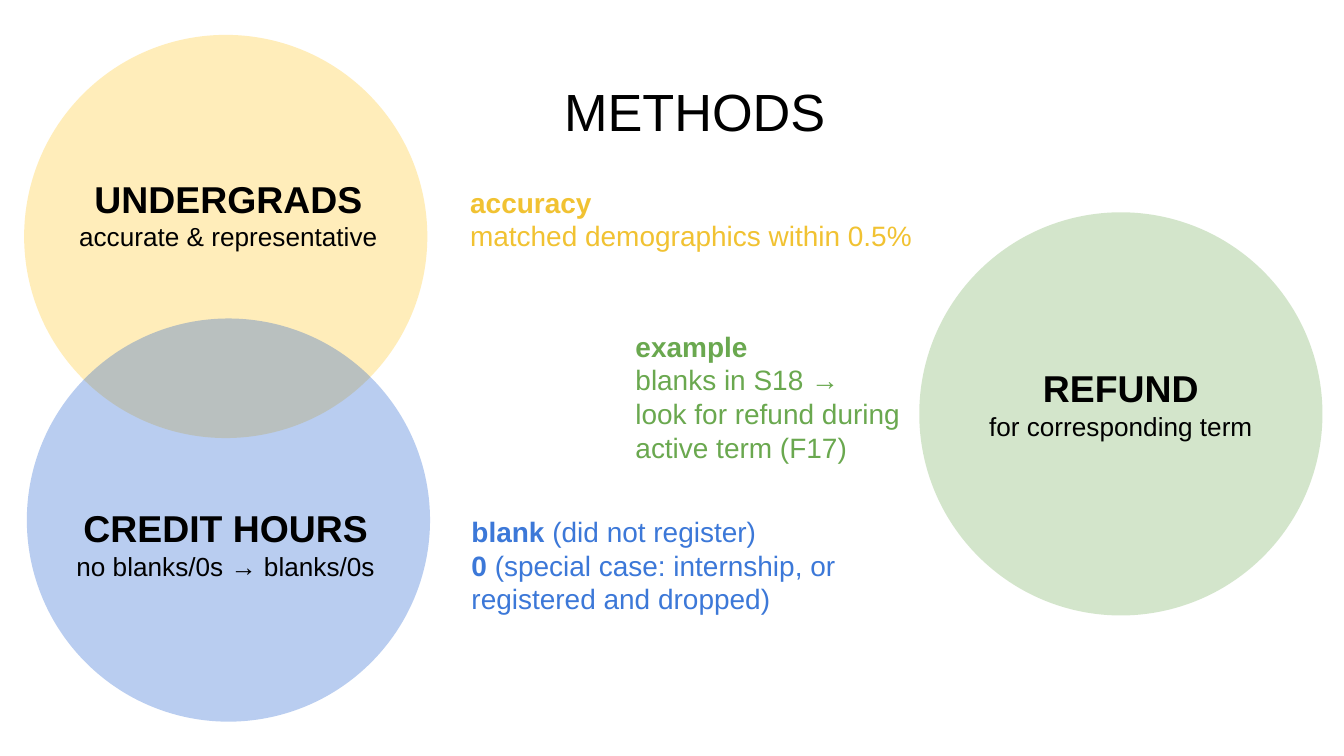
from lxml.etree import SubElement
from pptx import Presentation
from pptx.dml.color import RGBColor
from pptx.enum.shapes import MSO_SHAPE
from pptx.enum.text import MSO_ANCHOR, PP_ALIGN
from pptx.oxml.ns import qn
from pptx.util import Inches, Pt

BLACK = RGBColor(0x00, 0x00, 0x00)
YELLOW = RGBColor(0xFF, 0xD9, 0x66)
GREEN = RGBColor(0x6A, 0xA8, 0x4F)
BLUE = RGBColor(0x11, 0x55, 0xCC)
GOLD_TEXT = RGBColor(0xF1, 0xC2, 0x32)
BLUE_TEXT = RGBColor(0x3C, 0x78, 0xD8)

FONT = "Arial"
SLIDE_WIDTH = 10
SLIDE_HEIGHT = SLIDE_WIDTH * 9 / 16
DIAMETER = 3
LABEL_HEIGHT = 0.93

# left, top, colour, opacity in percent
CIRCLES = [
    (0.18, 0.26, YELLOW, 45),
    (6.84, 1.58, GREEN, 29),
    (0.2, 2.37, BLUE, 29),
]

# left, top, heading, detail
LABELS = [
    (0.2, 1.21, "UNDERGRADS", "accurate & representative"),
    (0.18, 3.66, "CREDIT HOURS", "no blanks/0s → blanks/0s"),
    (6.84, 2.62, "REFUND", "for corresponding term"),
]

# left, top, width, colour, lines of (bold part, regular part)
NOTES = [
    (3.41, 3.73, 3.43, BLUE_TEXT, [
        ("blank", " (did not register)"),
        ("0", " (special case: internship, or registered and dropped)"),
    ]),
    (3.4, 1.28, 3.63, GOLD_TEXT, [
        ("accuracy", ""),
        ("", "matched demographics within 0.5%"),
    ]),
    (4.63, 2.35, 3.63, GREEN, [
        ("example", ""),
        ("", "blanks in S18 → "),
        ("", "look for refund during "),
        ("", "active term (F17)"),
    ]),
]


def add_circle(slide, left, top, color, opacity):
    """Draw a translucent circle without an outline."""
    circle = slide.shapes.add_shape(
        MSO_SHAPE.OVAL, Inches(left), Inches(top), Inches(DIAMETER), Inches(DIAMETER))
    circle.shadow.inherit = False
    circle.line.fill.background()
    circle.fill.solid()
    circle.fill.fore_color.rgb = color
    srgb = circle.fill._xPr.find(".//" + qn("a:srgbClr"))
    SubElement(srgb, qn("a:alpha")).set("val", str(opacity * 1000))


def add_text(slide, left, top, width, height, lines, sizes, color, align=PP_ALIGN.LEFT):
    """Write one paragraph per line, each a (bold part, regular part) pair."""
    box = slide.shapes.add_textbox(Inches(left), Inches(top), Inches(width), Inches(height))
    frame = box.text_frame
    frame.word_wrap = True
    frame.vertical_anchor = MSO_ANCHOR.TOP
    frame.margin_left = frame.margin_right = Inches(0.1)
    frame.margin_top = frame.margin_bottom = Inches(0.1)
    for i, (parts, size) in enumerate(zip(lines, sizes)):
        paragraph = frame.add_paragraph() if i else frame.paragraphs[0]
        paragraph.alignment = align
        paragraph.font.name = FONT
        paragraph.font.size = Pt(size)
        paragraph.font.color.rgb = color
        for part, bold in zip(parts, (True, False)):
            if part:
                run = paragraph.add_run()
                run.text = part
                run.font.bold = bold


prs = Presentation()
prs.slide_width, prs.slide_height = Inches(SLIDE_WIDTH), Inches(SLIDE_HEIGHT)
slide = prs.slides.add_slide(prs.slide_layouts[6])

add_text(slide, 4.1, 0.49, 5.56, 0.63, [("", "METHODS ")], [28], BLACK)
for left, top, color, opacity in CIRCLES:
    add_circle(slide, left, top, color, opacity)
for left, top, heading, detail in LABELS:
    add_text(slide, left, top, DIAMETER, LABEL_HEIGHT,
             [(heading, ""), ("", detail)], [20, 14], BLACK, PP_ALIGN.CENTER)
for left, top, width, color, lines in NOTES:
    add_text(slide, left, top, width, LABEL_HEIGHT, lines, [15] * len(lines), color)

prs.save("out.pptx")
